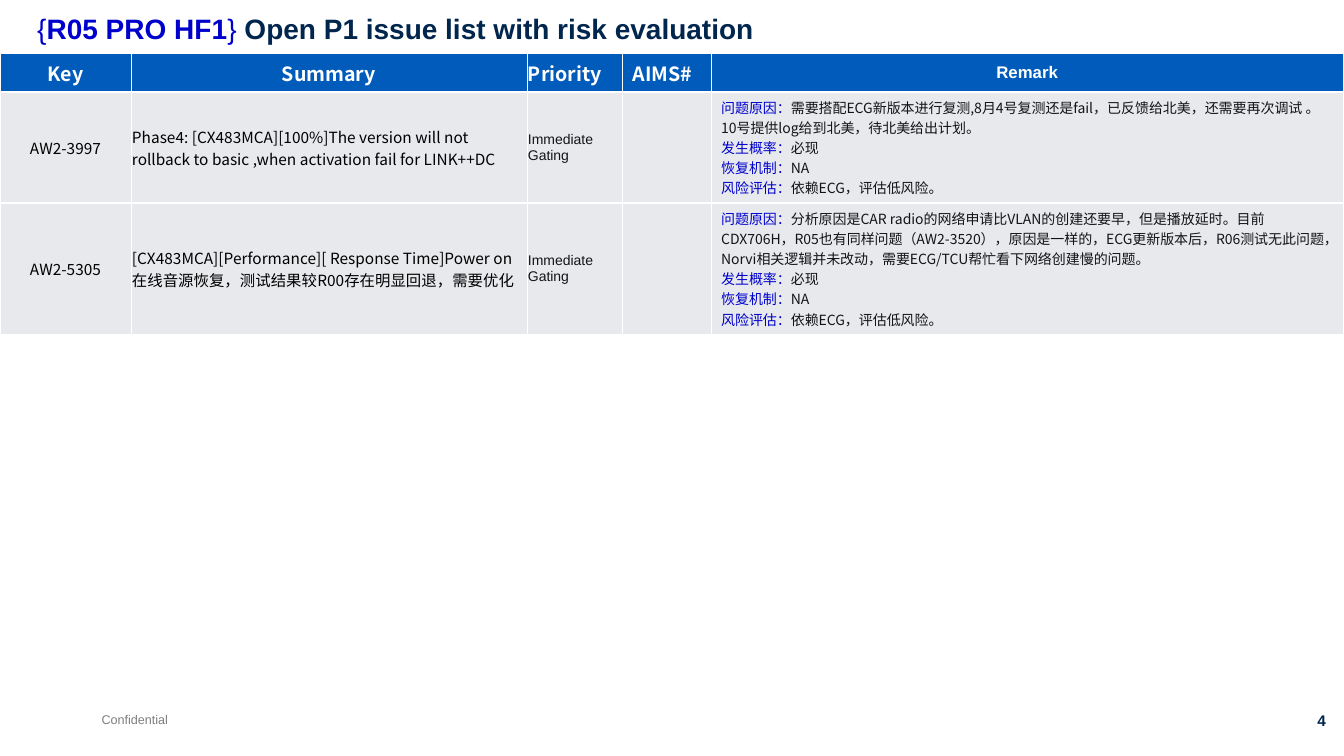
from dataclasses import dataclass

from lxml import etree
from pptx import Presentation
from pptx.dml.color import RGBColor
from pptx.enum.text import MSO_ANCHOR, MSO_AUTO_SIZE, PP_ALIGN
from pptx.oxml.ns import qn
from pptx.util import Pt

LEFT, CENTER, RIGHT = PP_ALIGN.LEFT, PP_ALIGN.CENTER, PP_ALIGN.RIGHT
TOP, MIDDLE = MSO_ANCHOR.TOP, MSO_ANCHOR.MIDDLE
NO_AUTOFIT = MSO_AUTO_SIZE.NONE
TITLE_ONLY = 5


@dataclass(frozen=True)
class Theme:
    sans: str = "Arial"
    cjk: str = "Noto Sans CJK SC"
    blue: str = "0000CC"
    navy: str = "00264E"
    grey: str = "7F7F7F"
    ink: str = "131416"
    black: str = "000000"
    white: str = "FFFFFF"
    header: str = "005BBA"
    row: str = "E7E9EC"
    title_size: float = 20
    heading_size: float = 14
    remark_heading_size: float = 12
    body_size: float = 11
    small_size: float = 10
    footer_size: float = 9
    thin: float = 0.45
    thick: float = 1.47


THEME = Theme()


def style(size, color, font=THEME.sans, bold=False):
    return {"size": Pt(size), "bold": bold, "name": font, "color": color}


TITLE = style(THEME.title_size, THEME.navy, bold=True)
RELEASE = style(THEME.title_size, THEME.blue, bold=True)
BRACE = style(THEME.title_size, THEME.blue)
HEADING = style(THEME.heading_size, THEME.white, THEME.cjk, True)
REMARK_HEADING = style(THEME.remark_heading_size, THEME.white, bold=True)
ISSUE = style(THEME.body_size, THEME.black, THEME.cjk)
PRIORITY = style(THEME.small_size, THEME.ink)
LABEL = style(THEME.small_size, THEME.blue, THEME.cjk)
REMARK = style(THEME.small_size, THEME.ink, THEME.cjk)
FOOTER = style(THEME.footer_size, THEME.grey)
PAGE_NUMBER = style(THEME.body_size, THEME.navy, bold=True)


class IssuePage:
    def __init__(self, deck, theme):
        self.theme = theme
        self.page = deck.slides.add_slide(deck.slide_layouts[TITLE_ONLY])

    def fill_text(self, frame, paragraphs, align=LEFT):
        """Each paragraph is a list of (text, style) pairs."""
        for index, spans in enumerate(paragraphs):
            para = frame.add_paragraph() if index else frame.paragraphs[0]
            para.alignment = align
            for text, look in spans:
                span = para.add_run()
                span.text = text
                for name, value in look.items():
                    if name == "color":
                        span.font.color.rgb = RGBColor.from_string(value)
                    else:
                        setattr(span.font, name, value)
                properties = span._r.get_or_add_rPr()
                etree.SubElement(properties, qn("a:ea"), typeface=look["name"])

    def title(self, left, top, width, height, spans):
        box = self.page.shapes.title
        for name, value in dict(left=left, top=top, width=width, height=height).items():
            setattr(box, name, Pt(value))
        frame = box.text_frame
        frame.auto_size, frame.vertical_anchor = NO_AUTOFIT, TOP
        frame.word_wrap = True
        self.fill_text(frame, [spans])
        frame.paragraphs[0].line_spacing = 0.9

    def text(self, left, top, width, height, text, look, align=LEFT):
        box = self.page.shapes.add_textbox(Pt(left), Pt(top), Pt(width), Pt(height))
        box.text_frame.word_wrap = True
        self.fill_text(box.text_frame, [[(text, look)]], align)

    def borders(self, cell, first, last):
        theme = self.theme
        widths = {
            "lnL": theme.thin,
            "lnR": theme.thin,
            "lnT": theme.thin if first else theme.thick,
            "lnB": theme.thin if last else theme.thick,
        }
        properties = cell._tc.get_or_add_tcPr()
        for index, (side, width) in enumerate(widths.items()):
            line = etree.Element(qn(f"a:{side}"), w=str(int(Pt(width))))
            fill = etree.SubElement(line, qn("a:solidFill"))
            etree.SubElement(fill, qn("a:srgbClr"), val=theme.white)
            properties.insert(index, line)

    def table(self, top, widths, heights, rows):
        """Each cell is (paragraphs, alignment, side margin, anchor)."""
        table = self.page.shapes.add_table(
            len(rows), len(widths), Pt(0), Pt(top), Pt(sum(widths)), Pt(sum(heights))
        ).table
        table.first_row = table.horz_banding = False
        for column, width in zip(table.columns, widths):
            column.width = Pt(width)
        for index, (contents, height) in enumerate(zip(rows, heights)):
            table.rows[index].height = Pt(height)
            for cell, (paragraphs, align, margin, anchor) in zip(table.rows[index].cells, contents):
                cell.fill.solid()
                color = self.theme.row if index else self.theme.header
                cell.fill.fore_color.rgb = RGBColor.from_string(color)
                self.borders(cell, index == 0, index == len(rows) - 1)
                cell.margin_left = cell.margin_right = Pt(margin)
                cell.vertical_anchor = anchor
                self.fill_text(cell.text_frame, paragraphs, align)


def plain(text, look, align=LEFT, margin=0.72):
    return [[(text, look)]], align, margin, MIDDLE


def issue_row(key, summary, cause):
    remarks = {
        "问题原因：": cause,
        "发生概率：": "必现",
        "恢复机制：": "NA",
        "风险评估：": "依赖ECG，评估低风险。",
    }
    paragraphs = [[(label, LABEL), (text, REMARK)] for label, text in remarks.items()]
    return [
        plain(key, ISSUE, CENTER),
        plain(summary, ISSUE),
        plain("Immediate Gating", PRIORITY),
        ([], LEFT, 7.2, TOP),
        (paragraphs, LEFT, 7.2, TOP),
    ]


HEADINGS = [
    plain("Key", HEADING, CENTER),
    plain("Summary", HEADING, CENTER),
    plain("Priority", HEADING),
    plain("AIMS#", HEADING, margin=7.2),
    plain("Remark", REMARK_HEADING, CENTER, 7.2),
]
ISSUES = [
    issue_row(
        "AW2-3997",
        "Phase4: [CX483MCA][100%]The version will not rollback to basic ,"
        "when activation fail for LINK++DC",
        "需要搭配ECG新版本进行复测,8月4号复测还是fail，已反馈给北美，还需要再次调试 。"
        "10号提供log给到北美，待北美给出计划。",
    ),
    issue_row(
        "AW2-5305",
        "[CX483MCA][Performance][ Response Time]Power on "
        "在线音源恢复，测试结果较R00存在明显回退，需要优化",
        "分析原因是CAR radio的网络申请比VLAN的创建还要早，但是播放延时。"
        "目前CDX706H，R05也有同样问题（AW2-3520），原因是一样的，ECG更新版本后，"
        "R06测试无此问题，Norvi相关逻辑并未改动，需要ECG/TCU帮忙看下网络创建慢的问题。",
    ),
]


def main():
    deck = Presentation()
    deck.slide_width, deck.slide_height = Pt(960.48), Pt(540)
    page = IssuePage(deck, THEME)

    # Title
    page.title(19.4, 7.2, 853.2, 45.4, [
        ("{", BRACE),
        ("R05 PRO HF1", RELEASE),
        ("} ", BRACE),
        ("Open P1 issue list with risk evaluation", TITLE),
    ])

    # Issue table
    page.table(38.2, [93.6, 283, 68.4, 63.2, 451.8], [24, 68, 79], [HEADINGS, *ISSUES])

    # Footer
    page.text(65.5, 504.7, 72, 18, "Confidential", FOOTER)
    page.text(887, 504.7, 67.7, 20.9, "4", PAGE_NUMBER, RIGHT)

    deck.save("out.pptx")


if __name__ == "__main__":
    main()
